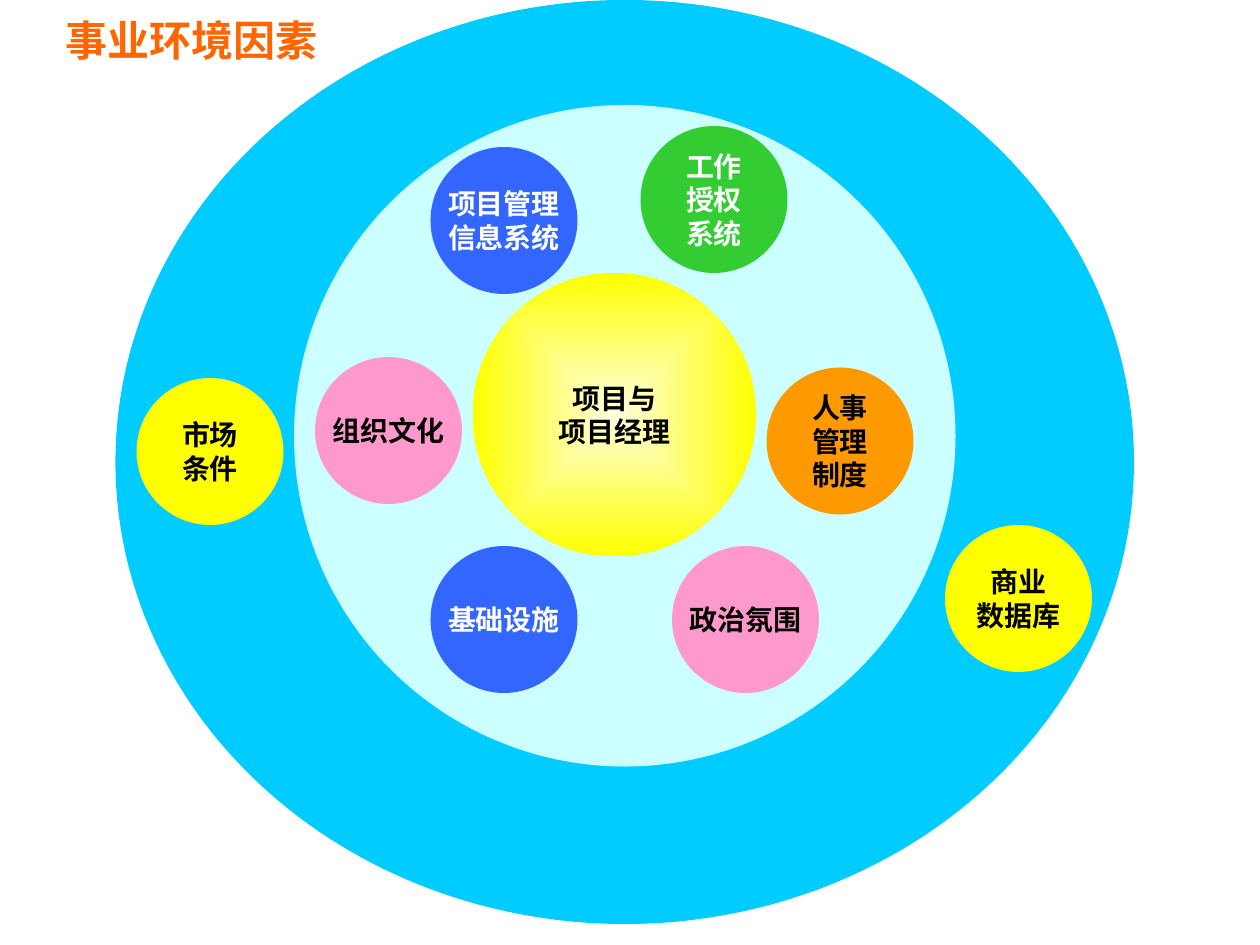
from lxml import etree
from pptx import Presentation
from pptx import util as u
from pptx.dml.color import RGBColor
from pptx.enum import shapes, text
from pptx.oxml import parse_xml
from pptx.oxml.ns import nsdecls, qn

COLORS = {
    "outer": "00CCFF", "inner": "CCFFFF", "title": "FF6600",
    "pale": "FEFEDF", "yellow": "FFFF00", "pink": "FF99CC",
    "orange": "FF9900", "green": "33CC33", "blue": "3366FF",
    "black": "000000", "white": "FFFFFF",
}
COLUMNS, ROWS = 120, 90
CELL = u.Inches(10) // COLUMNS
FACTOR_SIZE = 14
FACTORS = [
    ("组织文化", 30, 34, "pink", "black"),
    ("人事\n管理\n制度", 73, 35, "orange", "black"),
    ("工作\n授权\n系统", 61, 12, "green", "white"),
    ("基础设施", 41, 52, "blue", "white"),
    ("政治氛围", 64, 52, "pink", "black"),
    ("项目管理\n信息系统", 41, 14, "blue", "white"),
    ("市场\n条件", 13, 36, "yellow", "black"),
    ("商业\n数据库", 90, 50, "yellow", "black"),
]


def rgb(color):
    return RGBColor.from_string(COLORS[color])


def cells(*counts):
    return [u.Emu(int(count * CELL)) for count in counts]


def write(holder, words, size=16, color="black", align=text.PP_ALIGN.CENTER, wrap=False):
    frame = holder.text_frame
    frame.text = words
    frame.word_wrap = wrap
    frame.auto_size = text.MSO_AUTO_SIZE.NONE
    frame.vertical_anchor = text.MSO_ANCHOR.MIDDLE
    for line in frame.paragraphs:
        line.alignment = align
        for run in line.runs:
            run.font.name = "Arial"
            run.font.size = u.Pt(size)
            run.font.bold = True
            run.font.color.rgb = rgb(color)


def add_circle(slide, column, row, width, height, color):
    circle = slide.shapes.add_shape(
        shapes.MSO_SHAPE.OVAL, *cells(column, row, width, height))
    circle.shadow.inherit = False
    circle.line.fill.background()
    circle.fill.solid()
    circle.fill.fore_color.rgb = rgb(color)
    return circle


def glow_from_center(circle, center, edge):
    circle.fill.gradient()
    for stop, color in zip(circle.fill.gradient_stops, (center, edge)):
        stop.color.rgb = rgb(color)
    gradient = circle._element.spPr.find(qn("a:gradFill"))
    gradient.remove(gradient.find(qn("a:lin")))
    focus = parse_xml(f'<a:path {nsdecls("a")} path="rect"/>')
    etree.SubElement(focus, qn("a:fillToRect"),
                     {side: "50000" for side in "ltrb"})
    gradient.append(focus)


def add_title(slide, words):
    title = slide.shapes.title
    title.left, title.top, title.width, title.height = cells(5, 0, 55, 7.5)
    write(title, words, size=24, color="title", align=text.PP_ALIGN.LEFT, wrap=True)
    return title


def main():
    deck = Presentation()
    deck.slide_width, deck.slide_height = cells(COLUMNS, ROWS)
    slide = deck.slides.add_slide(deck.slide_layouts[5])

    title = add_title(slide, "事业环境因素")
    outer_ring = add_circle(slide, 11, 0, 97, 88, "outer")
    title._element.addprevious(outer_ring._element)
    add_circle(slide, 28, 10, 63, 63, "inner")

    project = add_circle(slide, 45, 26, 27, 27, "yellow")
    glow_from_center(project, "pale", "yellow")
    write(project, "项目与\n项目经理")

    for words, column, row, fill, ink in FACTORS:
        factor = add_circle(slide, column, row, FACTOR_SIZE, FACTOR_SIZE, fill)
        write(factor, words, color=ink)

    deck.save("out.pptx")


if __name__ == "__main__":
    main()
